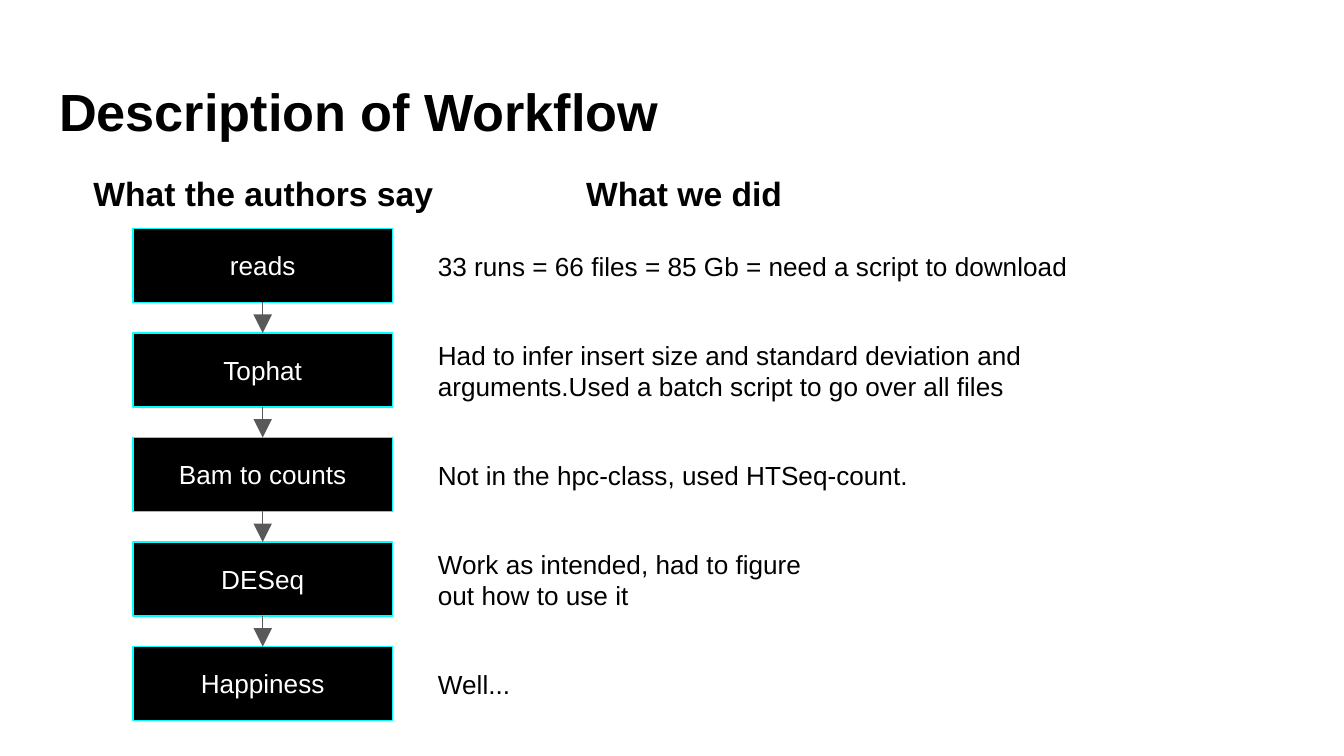
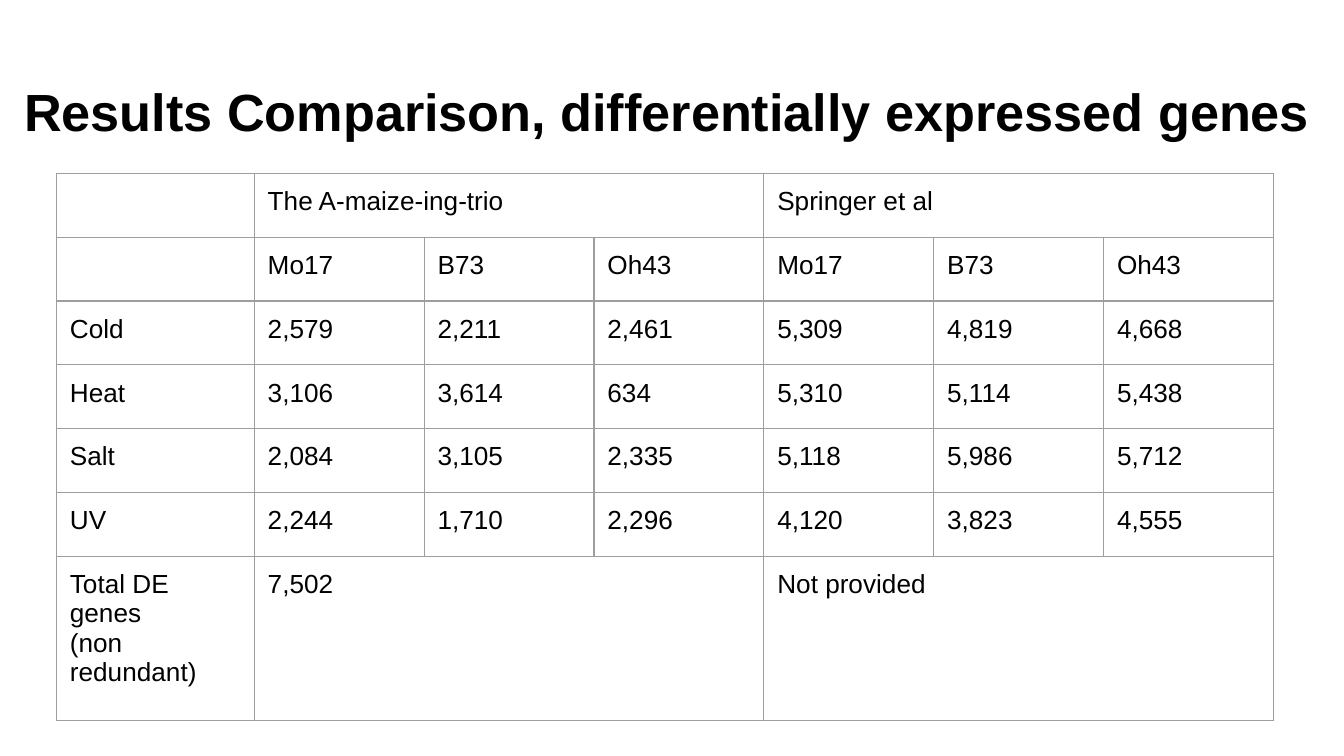
"""Build two slides: the analysis workflow and the table of differentially expressed genes."""
from lxml import etree
from pptx import Presentation
from pptx.dml.color import RGBColor
from pptx.enum.shapes import MSO_CONNECTOR, MSO_SHAPE
from pptx.enum.text import MSO_ANCHOR, MSO_AUTO_SIZE, PP_ALIGN
from pptx.oxml.ns import qn
from pptx.util import Inches, Pt

BLACK = RGBColor(0x00, 0x00, 0x00)
WHITE = RGBColor(0xFF, 0xFF, 0xFF)
CYAN = RGBColor(0x00, 0xFF, 0xFF)
DARK_GRAY = RGBColor(0x59, 0x59, 0x59)
BORDER_GRAY = RGBColor(0x9E, 0x9E, 0x9E)
FONT = "Arial"
LEFT, CENTER = PP_ALIGN.LEFT, PP_ALIGN.CENTER
TOP, MIDDLE = MSO_ANCHOR.TOP, MSO_ANCHOR.MIDDLE
RECTANGLE = MSO_SHAPE.RECTANGLE
STRAIGHT = MSO_CONNECTOR.STRAIGHT
NO_AUTOFIT = MSO_AUTO_SIZE.NONE


def write(tf, text, size=14, bold=False, color=BLACK, align=LEFT):
    for i, line in enumerate(text.split("\n")):
        p = tf.add_paragraph() if i else tf.paragraphs[0]
        p.alignment = align
        r = p.add_run()
        r.text = line
        r.font.name = FONT
        r.font.size = Pt(size)
        r.font.bold = bold
        r.font.color.rgb = color


def set_frame(tf, anchor):
    tf.word_wrap = True
    tf.auto_size = NO_AUTOFIT
    tf.vertical_anchor = anchor
    tf.margin_left = tf.margin_right = tf.margin_top = tf.margin_bottom = Inches(0.1)


prs = Presentation()
prs.slide_width = Inches(10)
prs.slide_height = prs.slide_width * 9 // 16

TITLES = [
    ("Description of Workflow", 0.34, 9.32),
    ("Results Comparison, differentially expressed genes", 0.08, 9.92),
]
for text, x, w in TITLES:
    s = prs.slides.add_slide(prs.slide_layouts[5])
    title = s.shapes.title
    title.left, title.top = Inches(x), Inches(0.49)
    title.width, title.height = Inches(w), Inches(0.63)
    set_frame(title.text_frame, TOP)
    write(title.text_frame, text, size=28, bold=True)
workflow, results = prs.slides

for text, x in [("What the authors say", 0.56), ("What we did", 3.69)]:
    sp = workflow.shapes.add_textbox(Inches(x), Inches(1.16), Inches(2.8), Inches(0.55))
    set_frame(sp.text_frame, MIDDLE)
    write(sp.text_frame, text, size=18, bold=True, align=CENTER)

STEPS = [
    ("reads", "33 runs = 66 files = 85 Gb = need a script to download", 5.86),
    ("Tophat", "Had to infer insert size and standard deviation and arguments."
     "Used a batch script to go over all files", 5.86),
    ("Bam to counts", "Not in the hpc-class, used HTSeq-count.", 5.86),
    ("DESeq", "Work as intended, had to figure out how to use it", 3.08),
    ("Happiness", "Well...", 3.08),
]
STEP_PITCH = Pt(56)
boxes = []
for i, (step, note, w) in enumerate(STEPS):
    y = Inches(1.7) + i * STEP_PITCH
    box = workflow.shapes.add_shape(RECTANGLE, Inches(0.99), y, Inches(1.93), Inches(0.55))
    box.shadow.inherit = False
    box.fill.solid()
    box.fill.fore_color.rgb = BLACK
    box.line.color.rgb = CYAN
    box.line.width = Pt(0.75)
    set_frame(box.text_frame, MIDDLE)
    write(box.text_frame, step, color=WHITE, align=CENTER)
    boxes.append(box)

    sp = workflow.shapes.add_textbox(Inches(3.16), y - Inches(0.08), Inches(w), Inches(0.72))
    set_frame(sp.text_frame, MIDDLE)
    write(sp.text_frame, note)

for upper, lower in zip(boxes, boxes[1:]):
    arrow = workflow.shapes.add_connector(STRAIGHT, 0, 0, 0, 0)
    arrow.begin_connect(upper, 2)
    arrow.end_connect(lower, 0)
    arrow.line.color.rgb = DARK_GRAY
    arrow.line.width = Pt(0.75)
    ln = arrow._element.spPr.find(qn("a:ln"))
    etree.SubElement(ln, qn("a:tailEnd"), type="triangle", w="lg", len="lg")
    etree.SubElement(arrow._element.spPr, qn("a:effectLst"))

STRAINS = ["Mo17", "B73", "Oh43"]
ROWS = [
    ["", "The A-maize-ing-trio", "", "", "Springer et al", "", ""],
    [""] + STRAINS * 2,
    ["Cold", "2,579", "2,211", "2,461", "5,309", "4,819", "4,668"],
    ["Heat", "3,106", "3,614", "634", "5,310", "5,114", "5,438"],
    ["Salt", "2,084", "3,105", "2,335", "5,118", "5,986", "5,712"],
    ["UV", "2,244", "1,710", "2,296", "4,120", "3,823", "4,555"],
    ["Total DE genes\n(non redundant)", "7,502", "", "", "Not provided", "", ""],
]
COL_WIDTHS = [Pt(106)] + [Pt(91)] * 6
ROW_HEIGHTS = [Pt(34.2)] * 6 + [Pt(88.2)]
table = results.shapes.add_table(
    len(ROWS), len(COL_WIDTHS), Inches(0.42), Inches(1.29),
    sum(COL_WIDTHS), sum(ROW_HEIGHTS)).table
table.first_row = False
table.horz_banding = False
for col, w in zip(table.columns, COL_WIDTHS):
    col.width = w
for row, h in zip(table.rows, ROW_HEIGHTS):
    row.height = h

for i, values in enumerate(ROWS):
    for j, text in enumerate(values):
        cell = table.cell(i, j)
        cell.margin_left = cell.margin_right = cell.margin_top = cell.margin_bottom = Inches(0.1)
        tcPr = cell._tc.get_or_add_tcPr()
        for side in ("a:lnL", "a:lnR", "a:lnT", "a:lnB"):
            ln = etree.SubElement(tcPr, qn(side), w=str(Pt(0.75)))
            fill = etree.SubElement(ln, qn("a:solidFill"))
            etree.SubElement(fill, qn("a:srgbClr"), val=str(BORDER_GRAY))
        cell.fill.background()
        if text:
            write(cell.text_frame, text)
        else:
            etree.SubElement(cell.text_frame.paragraphs[0]._p, qn("a:endParaRPr"), sz="1400")

for i in (0, len(ROWS) - 1):
    for j in (1, 4):
        table.cell(i, j).merge(table.cell(i, j + 2))

prs.save("out.pptx")
